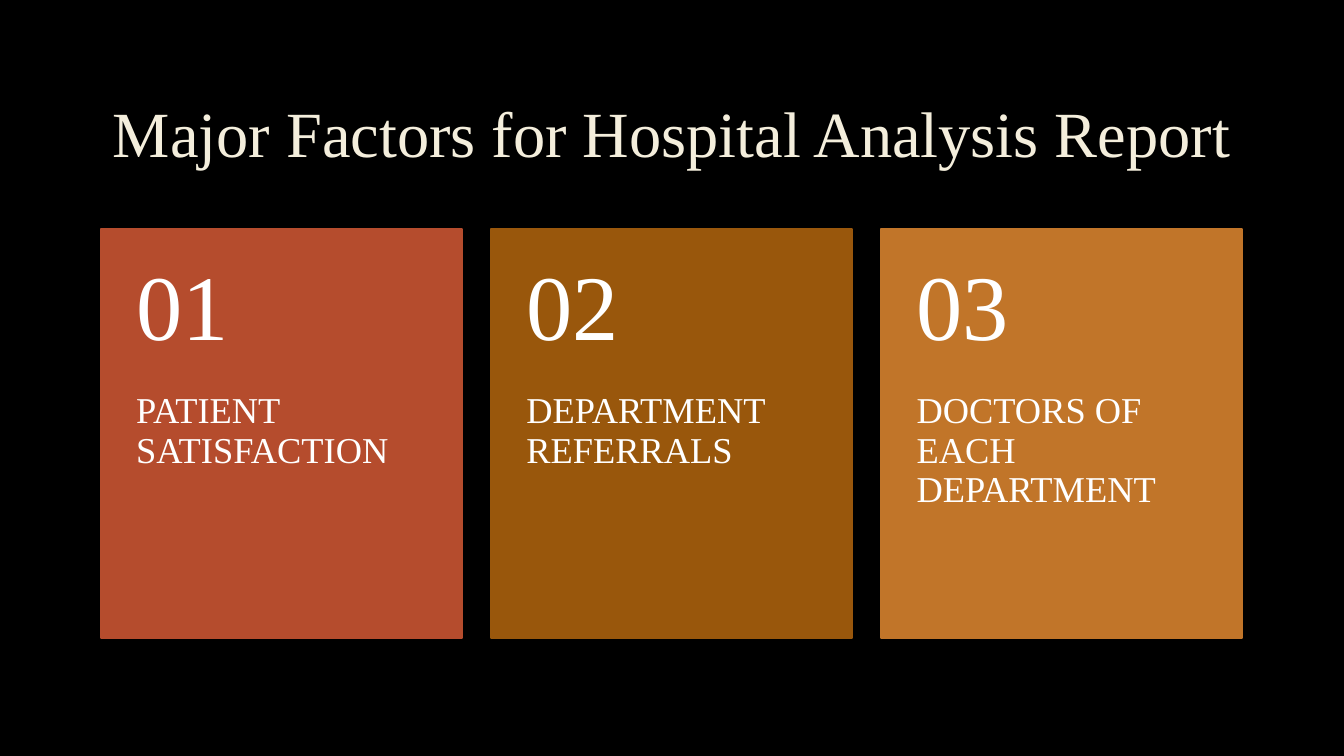
from pptx import Presentation
from pptx.dml.color import RGBColor
from pptx.enum.shapes import MSO_SHAPE
from pptx.enum.text import MSO_ANCHOR, PP_ALIGN
from pptx.util import Inches, Pt

RECTANGLE = MSO_SHAPE.RECTANGLE
TOP, MIDDLE = MSO_ANCHOR.TOP, MSO_ANCHOR.MIDDLE
LEFT, CENTER = PP_ALIGN.LEFT, PP_ALIGN.CENTER

# Content
TITLE = "Major Factors for Hospital Analysis Report"
FACTORS = [
    ("01", "PATIENT SATISFACTION", "rust"),
    ("02", "DEPARTMENT REFERRALS", "brown"),
    ("03", "DOCTORS OF EACH DEPARTMENT", "amber"),
]

# Style
COLORS = {
    "background": "000000",
    "title": "F4EEDC",
    "text": "FFFFFF",
    "rust": "B54C2D",
    "brown": "99570C",
    "amber": "C17529",
}
FONT = "Times New Roman"

# Layout in inches: three equal columns, each card split by height
SLIDE_W, SLIDE_H = 13.33, 7.5
MARGIN, CONTENT_W = 1, 11.32
TITLE_TOP, TITLE_H = 0.67, 1.38
CARD_TOP, CARD_H, GAP = 2.27, 4.06, 0.29
CARD_W = (CONTENT_W - GAP * (len(FACTORS) - 1)) / len(FACTORS)
NUMBER_H = CARD_H * 0.4
PAD = 0.35


def write(shape, text, *, size, color="text", align=LEFT, anchor=TOP,
          insets=(0.1, 0.05, 0.1, 0.05)):
    frame = shape.text_frame
    frame.word_wrap = True
    frame.vertical_anchor = anchor
    (frame.margin_left, frame.margin_top,
     frame.margin_right, frame.margin_bottom) = map(Inches, insets)
    paragraph = frame.paragraphs[0]
    paragraph.alignment = align
    paragraph.line_spacing = 0.9
    run = paragraph.add_run()
    run.text = text
    run.font.name = FONT
    run.font.size = Pt(size)
    run.font.color.rgb = RGBColor.from_string(COLORS[color])


def add_card(shapes, left, number, factor, color):
    fill = RGBColor.from_string(COLORS[color])
    card = shapes.add_shape(RECTANGLE, Inches(left), Inches(CARD_TOP),
                            Inches(CARD_W), Inches(CARD_H))
    card.shadow.inherit = False
    card.fill.solid()
    card.fill.fore_color.rgb = fill
    card.line.color.rgb = fill
    card.line.width = Pt(1.25)

    factor_box = shapes.add_textbox(
        Inches(left), Inches(CARD_TOP + NUMBER_H),
        Inches(CARD_W), Inches(CARD_H - NUMBER_H))
    write(factor_box, factor, size=26, insets=(PAD, 0, PAD, PAD))

    number_box = shapes.add_textbox(Inches(left), Inches(CARD_TOP),
                                    Inches(CARD_W), Inches(NUMBER_H))
    write(number_box, number, size=66, anchor=MIDDLE,
          insets=(PAD, PAD / 2, PAD, PAD / 2))


def main():
    deck = Presentation()
    deck.slide_width, deck.slide_height = Inches(SLIDE_W), Inches(SLIDE_H)
    slide = deck.slides.add_slide(deck.slide_layouts[5])
    slide.background.fill.solid()
    slide.background.fill.fore_color.rgb = RGBColor.from_string(COLORS["background"])

    # Title
    title = slide.shapes.title
    title.left, title.top = Inches(MARGIN), Inches(TITLE_TOP)
    title.width, title.height = Inches(CONTENT_W), Inches(TITLE_H)
    write(title, TITLE, size=46, color="title", align=CENTER, anchor=MIDDLE)

    # Factor cards
    cards = slide.shapes.add_group_shape().shapes
    for column, (number, factor, color) in enumerate(FACTORS):
        add_card(cards, MARGIN + column * (CARD_W + GAP), number, factor, color)

    deck.save("out.pptx")


if __name__ == "__main__":
    main()
